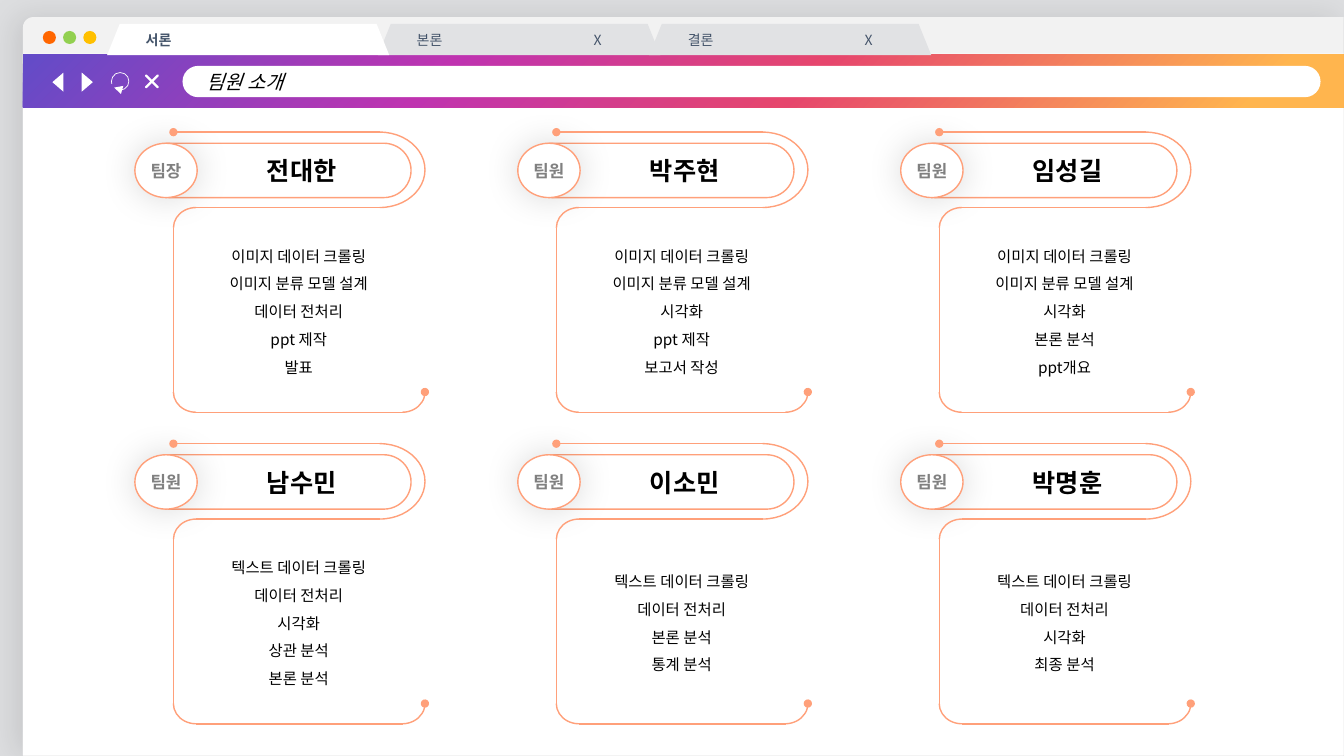
from lxml.etree import SubElement
from pptx import Presentation
from pptx.dml.color import RGBColor
from pptx.enum.shapes import MSO_CONNECTOR as Link, MSO_SHAPE as Kind
from pptx.enum.text import MSO_ANCHOR as Anchor, MSO_AUTO_SIZE as Auto, PP_ALIGN as Align
from pptx.oxml.ns import qn
from pptx.util import Cm, Pt

FONT = "Noto Sans CJK KR"
CORAL = "FFA07A"
STOPS = [(0, "624CC8"), (32, "BF33B0"), (59, "E6466D"), (93, "FFB54E")]
LEFT, TOP, STEP_X, STEP_Y = 3.4, 3.33, 9.65, 7.85
TEAM = [
    ("팀장", "전대한", ["이미지 데이터 크롤링", "이미지 분류 모델 설계", "데이터 전처리",
                  "ppt 제작", "발표"]),
    ("팀원", "박주현", ["이미지 데이터 크롤링", "이미지 분류 모델 설계", "시각화",
                  "ppt 제작", "보고서 작성"]),
    ("팀원", "임성길", ["이미지 데이터 크롤링", "이미지 분류 모델 설계", "시각화",
                  "본론 분석", "ppt개요"]),
    ("팀원", "남수민", ["텍스트 데이터 크롤링", "데이터 전처리", "시각화",
                  "상관 분석", "본론 분석"]),
    ("팀원", "이소민", ["텍스트 데이터 크롤링", "데이터 전처리", "본론 분석", "통계 분석"]),
    ("팀원", "박명훈", ["텍스트 데이터 크롤링", "데이터 전처리", "시각화", "최종 분석"]),
]


def color(code):
    return RGBColor.from_string(code)


def stroke(item, code, width, head=None, tail=None):
    item.line.color.rgb = color(code)
    item.line.width = Pt(width)
    for end, kind in (("a:headEnd", head), ("a:tailEnd", tail)):
        if kind:
            SubElement(item.line._get_or_add_ln(), qn(end), type=kind)


def draw(slide, kind, box, fill=None, line=None, width=1, tail=None,
         turn=0, flip=None, adj=()):
    """Add a preset shape; box is left, top, width, height in cm."""
    shape = slide.shapes.add_shape(kind, *map(Cm, box))
    shape.shadow.inherit = False
    shape.rotation = turn
    for i, value in enumerate(adj):
        shape.adjustments[i] = value
    if flip:
        shape.element.spPr.xfrm.set(flip, "1")
    if fill:
        shape.fill.solid()
        shape.fill.fore_color.rgb = color(fill)
    else:
        shape.fill.background()
    if line:
        stroke(shape, line, width, tail=tail)
    else:
        shape.line.fill.background()
    return shape


def link(slide, x1, y1, x2, y2, head=None):
    line = slide.shapes.add_connector(Link.STRAIGHT, *map(Cm, (x1, y1, x2, y2)))
    stroke(line, CORAL, 1, head=head)
    SubElement(line.element.spPr, qn("a:effectLst"))


def shade(shape, alpha, blur, dist=0, angle=0):
    """Give a shape a soft black shadow; alpha in percent, sizes in points."""
    effects = shape.element.spPr.find(qn("a:effectLst"))
    outer = SubElement(effects, qn("a:outerShdw"), blurRad=str(Pt(blur)),
                       dist=str(Pt(dist)), dir=str(angle * 60000),
                       algn="ctr", rotWithShape="0")
    black = SubElement(outer, qn("a:srgbClr"), val="000000")
    SubElement(black, qn("a:alpha"), val=str(alpha * 1000))


def blend(shape, stops, angle):
    shape.fill.gradient()
    shape.fill.gradient_angle = -angle % 360
    items = shape.element.spPr.find(qn("a:gradFill")).find(qn("a:gsLst"))
    for old in list(items):
        items.remove(old)
    for place, code in stops:
        stop = SubElement(items, qn("a:gs"), pos=str(place * 1000))
        SubElement(stop, qn("a:srgbClr"), val=code)


def write(shape, lines, size, code="000000", bold=False, italic=False,
          align=Align.LEFT, anchor=Anchor.MIDDLE, inset=0.25, space=None,
          wrap=True, tab=None):
    """Fill a shape with one paragraph per line; inset and tab in cm."""
    frame = shape.text_frame
    frame.word_wrap = wrap
    frame.vertical_anchor = anchor
    frame.margin_left = Cm(inset)
    for i, line in enumerate(lines):
        par = frame.add_paragraph() if i else frame.paragraphs[0]
        par.alignment = align
        par.line_spacing = space
        if tab:
            stops = SubElement(par._p.get_or_add_pPr(), qn("a:tabLst"))
            SubElement(stops, qn("a:tab"), pos=str(Cm(tab)), algn="l")
        run = par.add_run()
        run.text = line
        font = run.font
        font.size, font.bold, font.italic = Pt(size), bold, italic
        font.color.rgb = color(code)
        font.name = FONT
        SubElement(run._r.get_or_add_rPr(), qn("a:ea"), typeface=FONT)


def window(slide):
    frame = draw(slide, Kind.ROUND_1_RECTANGLE, (0.58, 0.43, 33.28, 18.62), "F2F2F2",
                 flip="flipH", adj=[0.014])
    shade(frame, 10, 22, 5, 180)
    draw(slide, Kind.RECTANGLE, (0.58, 1.35, 33.28, 17.68), "FFFFFF")
    for i, code in enumerate(("FF6600", "92D050", "FFC000")):
        draw(slide, Kind.OVAL, (1.08 + 0.51 * i, 0.78, 0.33, 0.33), code)
    blend(draw(slide, Kind.RECTANGLE, (0.58, 1.37, 33.28, 1.34)), STOPS, 45)


def tools(slide):
    field = draw(slide, Kind.ROUNDED_RECTANGLE, (4.6, 1.66, 28.68, 0.79), "FFFFFF", adj=[0.5])
    write(field, ["팀원 소개"], 14, italic=True, inset=0.5)
    for x, turn in ((1.96, 90), (1.22, 270)):
        draw(slide, Kind.ISOSCELES_TRIANGLE, (x, 1.93, 0.48, 0.28), "FFFFFF", turn=turn)
    draw(slide, Kind.MATH_PLUS, (3.54, 1.76, 0.58, 0.58), "808080", "FFFFFF",
         turn=315, adj=[0.04])
    draw(slide, Kind.ARC, (2.81, 1.83, 0.44, 0.44), line="FFFFFF", width=0.5,
         tail="triangle", adj=[97.2, 80.19])


def tabs(slide):
    for spot, label, live in ((1, "본론\tX", False), (0, "서론", True), (2, "결론\tX", False)):
        box = (2.7 + 6.83 * spot, 0.6, 7.11, 0.79)
        tab = draw(slide, Kind.TRAPEZOID, box, "FFFFFF" if live else "E1E2E4", adj=[0.405])
        write(tab, [label], 10, "44546A", bold=live, inset=0.76, tab=None if live else 4.46)


def card(slide, x, y, role, name, tasks):
    pill = draw(slide, Kind.ROUNDED_RECTANGLE, (x + 0.18, y + 0.28, 6.78, 1.37),
                line=CORAL, adj=[0.5])
    write(pill, [name], 18, bold=True, align=Align.CENTER, inset=1.52)
    badge = draw(slide, Kind.OVAL, (x, y + 0.28, 1.57, 1.37), "FFFFFF", CORAL)
    shade(badge, 14, 26)
    write(badge, [role], 12, "808080", bold=True, align=Align.CENTER, wrap=False)

    draw(slide, Kind.LEFT_BRACKET, (x + 6.17, y, 1.14, 1.9), line=CORAL,
         turn=180, flip="flipV", adj=[1.61])
    link(slide, x + 0.97, y, x + 6.17, y, head="oval")
    link(slide, x + 1.55, y + 1.9, x + 6.17, y + 1.9)
    draw(slide, Kind.ARC, (x + 0.97, y + 1.9, 1.14, 1.02), line=CORAL, turn=180, flip="flipV")
    link(slide, x + 0.97, y + 2.41, x + 0.97, y + 6.55)
    draw(slide, Kind.ARC, (x + 1.03, y + 5.98, 1.02, 1.14), line=CORAL, turn=90, flip="flipV")
    link(slide, x + 1.55, y + 7.06, x + 6.76, y + 7.06)
    draw(slide, Kind.ARC, (x + 6.17, y + 6.04, 1.14, 1.02), line=CORAL, flip="flipV", tail="oval")

    high = 0.15 + 0.71 * len(tasks)
    box = (x - 0.43, y + 4.38 - high / 2, 9.12, high)
    duty = slide.shapes.add_textbox(*map(Cm, box))
    write(duty, tasks, 11, align=Align.CENTER, anchor=Anchor.TOP, space=1.5)
    duty.text_frame.auto_size = Auto.SHAPE_TO_FIT_TEXT


def main():
    deck = Presentation()
    deck.slide_width, deck.slide_height = Cm(33.87), Cm(19.05)
    slide = deck.slides.add_slide(deck.slide_layouts[6])
    slide.background.fill.solid()
    slide.background.fill.fore_color.rgb = color("DDDEE0")
    window(slide)
    tools(slide)
    tabs(slide)
    for i, member in enumerate(TEAM):
        row, col = divmod(i, 3)
        card(slide, LEFT + STEP_X * col, TOP + STEP_Y * row, *member)
    deck.save("out.pptx")


if __name__ == "__main__":
    main()
